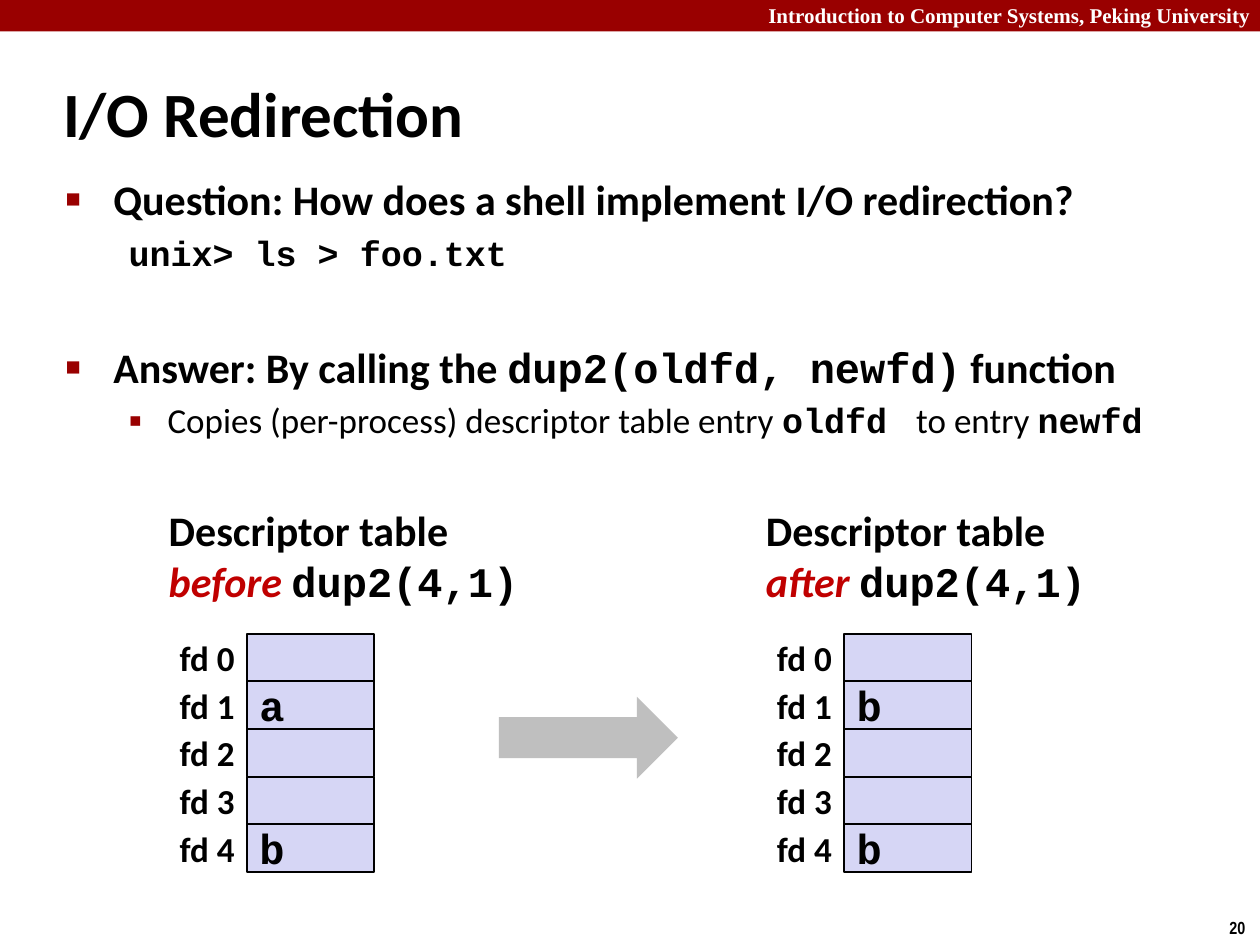
from dataclasses import dataclass

from lxml import etree
from pptx import Presentation
from pptx.dml.color import RGBColor
from pptx.enum.shapes import MSO_SHAPE as Shape
from pptx.enum.text import MSO_ANCHOR as Anchor, MSO_AUTO_SIZE as AutoSize, PP_ALIGN as Align
from pptx.oxml.ns import qn
from pptx.util import Inches, Pt


@dataclass(frozen=True)
class Theme:
    text: str = "000000"
    band: str = "990000"
    band_text: str = "FFFFFF"
    accent: str = "C00000"
    cell: str = "D6D6F5"
    arrow: str = "BFBFBF"
    sans: str = "Calibri"
    mono: str = "Courier New"
    serif: str = "Times New Roman"
    narrow: str = "Arial Narrow"
    title_size: int = 36
    main_size: int = 24
    sub_size: int = 20
    header_size: int = 12
    number_size: int = 10


THEME = Theme()
MONO = {"font": THEME.mono, "bold": True}


def write(paragraph, *parts, font=THEME.sans, size=THEME.main_size, color=THEME.text,
          bold=True, italic=False, align=Align.LEFT):
    """Add runs; a part is a string or a (string, overrides) pair."""
    paragraph.alignment = align
    base = dict(font=font, size=size, color=color, bold=bold, italic=italic)
    for part in parts:
        text, changes = (part, {}) if isinstance(part, str) else part
        style = {**base, **changes}
        run = paragraph.add_run()
        run.text = text
        run.font.name = style["font"]
        run.font.size = Pt(style["size"])
        run.font.bold = style["bold"]
        run.font.italic = style["italic"]
        run.font.color.rgb = RGBColor.from_string(style["color"])


def set_bullet(paragraph, margin, hanging, char=None, percent=100):
    props = paragraph._p.get_or_add_pPr()
    props.set("marL", str(Inches(margin)))
    props.set("indent", str(-Inches(hanging)))
    if char is None:
        etree.SubElement(props, qn("a:buNone"))
        return
    color = etree.SubElement(props, qn("a:buClr"))
    etree.SubElement(color, qn("a:srgbClr"), val=THEME.band)
    etree.SubElement(props, qn("a:buSzPct"), val=str(percent * 1000))
    etree.SubElement(props, qn("a:buFont"), typeface="Arial")
    etree.SubElement(props, qn("a:buChar"), char=char)


class SlideBuilder:
    def __init__(self, slide, theme):
        self.slide = slide
        self.theme = theme

    def block(self, preset, left, top, width, height, fill, outlined=False):
        block = self.slide.shapes.add_shape(preset, left, top, width, height)
        block.shadow.inherit = False
        block.fill.solid()
        block.fill.fore_color.rgb = RGBColor.from_string(fill)
        if outlined:
            block.line.color.rgb = RGBColor.from_string(self.theme.text)
            block.line.width = Pt(1)
        else:
            block.line.fill.background()
        block.text_frame.vertical_anchor = Anchor.MIDDLE
        return block

    def label(self, left, top, width, height, *lines, anchor=Anchor.MIDDLE, wrap=True, **style):
        """Add a text box; each line is a tuple of parts for write()."""
        frame = self.slide.shapes.add_textbox(left, top, width, height).text_frame
        frame.word_wrap = wrap
        frame.vertical_anchor = anchor
        for index, parts in enumerate(lines):
            paragraph = frame.add_paragraph() if index else frame.paragraphs[0]
            write(paragraph, *parts, **style)

    def placeholder(self, holder, left, top, width, height, anchor):
        holder.left, holder.top = Inches(left), Inches(top)
        holder.width, holder.height = Inches(width), Inches(height)
        frame = holder.text_frame
        frame.word_wrap = True
        frame.auto_size = AutoSize.NONE
        frame.vertical_anchor = anchor
        return frame

    def title(self, text):
        frame = self.placeholder(self.slide.shapes.title, 0.4, 0.48, 8.3, 0.83, Anchor.MIDDLE)
        set_bullet(frame.paragraphs[0], 0.13, 0.13)
        write(frame.paragraphs[0], text, size=self.theme.title_size)

    def body(self, items):
        """Each item is (level, bullet, bullet percent, space before, parts, style)."""
        frame = self.placeholder(self.slide.placeholders[1], 0.42, 1.33, 9.08, 2.08, Anchor.TOP)
        indents = [(0.38, 0.38), (0.81, 0.31)]
        sizes = [self.theme.main_size, self.theme.sub_size]
        for index, (level, bullet, percent, before, parts, style) in enumerate(items):
            paragraph = frame.add_paragraph() if index else frame.paragraphs[0]
            paragraph.level = level
            set_bullet(paragraph, *indents[level], bullet, percent)
            paragraph.space_before = Pt(before)
            write(paragraph, *parts, size=sizes[level], **style)

    def descriptor_table(self, left, moment, entries):
        width, top = Inches(1.01), Inches(5.03)
        row_height = Inches(1.89) // len(entries)
        for fd, entry in enumerate(entries):
            row_top = top + fd * row_height
            cell = self.block(Shape.RECTANGLE, left, row_top, width, row_height,
                              self.theme.cell, outlined=True)
            if entry:
                write(cell.text_frame.paragraphs[0], entry, **MONO)
            self.label(left - width, row_top, width, row_height, (f"fd {fd}",),
                       size=self.theme.sub_size, align=Align.RIGHT)
        moment_style = {"color": self.theme.accent, "italic": True}
        self.label(left - Inches(0.72), Inches(3.95), Inches(3.01), Inches(0.91),
                   ("Descriptor table",),
                   ((f"{moment} ", moment_style), ("dup2(4,1)", MONO)))


def main():
    deck = Presentation()
    deck.slide_width, deck.slide_height = Inches(10), Inches(7.5)
    builder = SlideBuilder(deck.slides.add_slide(deck.slide_layouts[1]), THEME)

    builder.block(Shape.RECTANGLE, 0, 0, deck.slide_width, Inches(0.25), THEME.band)
    builder.label(Inches(6), Inches(-0.03), Inches(4.07), Inches(0.3),
                  ("Introduction to Computer Systems, Peking University",), anchor=Anchor.TOP,
                  font=THEME.serif, size=THEME.header_size, color=THEME.band_text)
    builder.label(Inches(9.66), Inches(7.23), Inches(0.34), Inches(0.27), ("20",),
                  anchor=Anchor.TOP, wrap=False, font=THEME.narrow, size=THEME.number_size)

    builder.title("I/O Redirection")
    builder.body([
        (0, "■", 60, 0, ["Question: How does a shell implement I/O redirection?"], {}),
        (1, None, 100, 4, ["unix> ls > foo.txt"], MONO),
        (0, "■", 60, 39,
         ["Answer: By calling the ", ("dup2(oldfd, newfd)", MONO), " function"], {}),
        (1, "▪", 110, 4,
         ["Copies (per-process) descriptor table entry ", ("oldfd ", MONO),
          " to entry ", ("newfd", MONO)], {"bold": False}),
    ])

    builder.descriptor_table(Inches(1.96), "before", ["", "a", "", "", "b"])
    builder.descriptor_table(Inches(6.7), "after", ["", "b", "", "", "b"])
    builder.block(Shape.RIGHT_ARROW, Inches(3.96), Inches(5.53), Inches(1.42), Inches(0.65),
                  THEME.arrow)
    deck.save("out.pptx")


if __name__ == "__main__":
    main()
